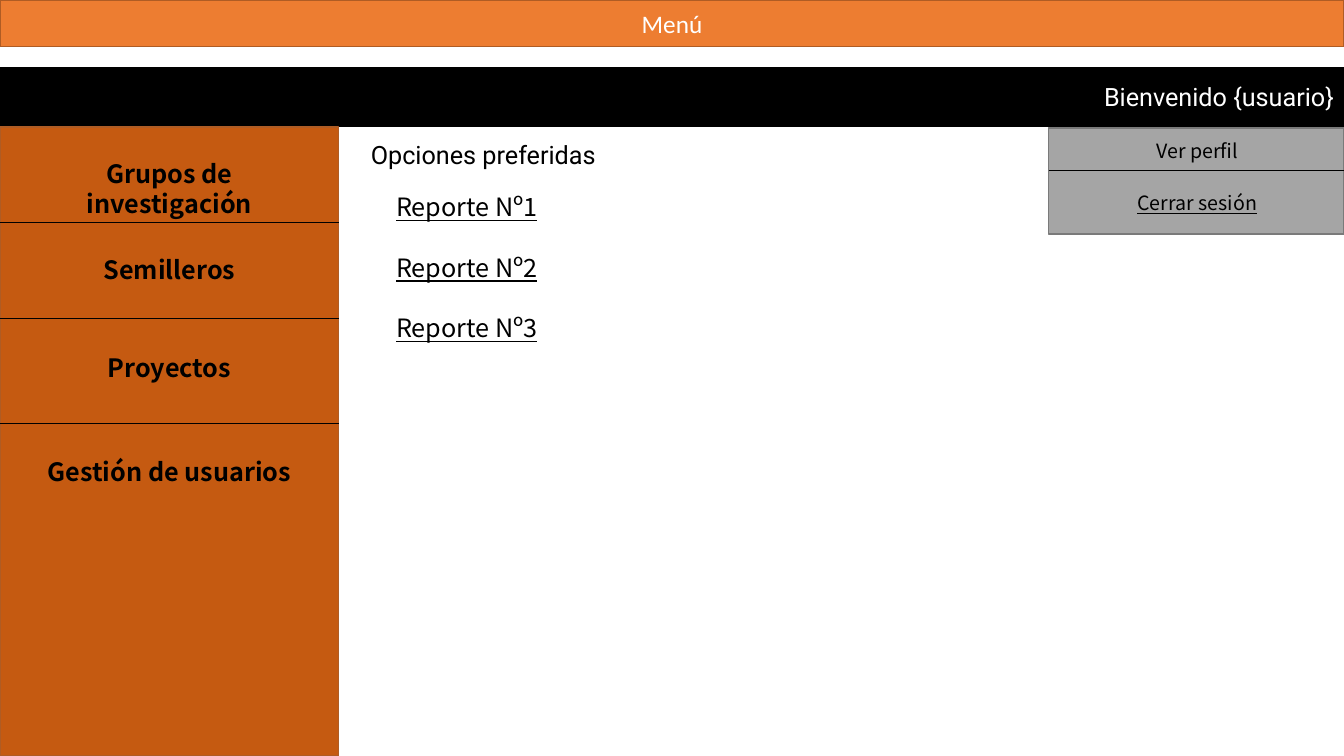
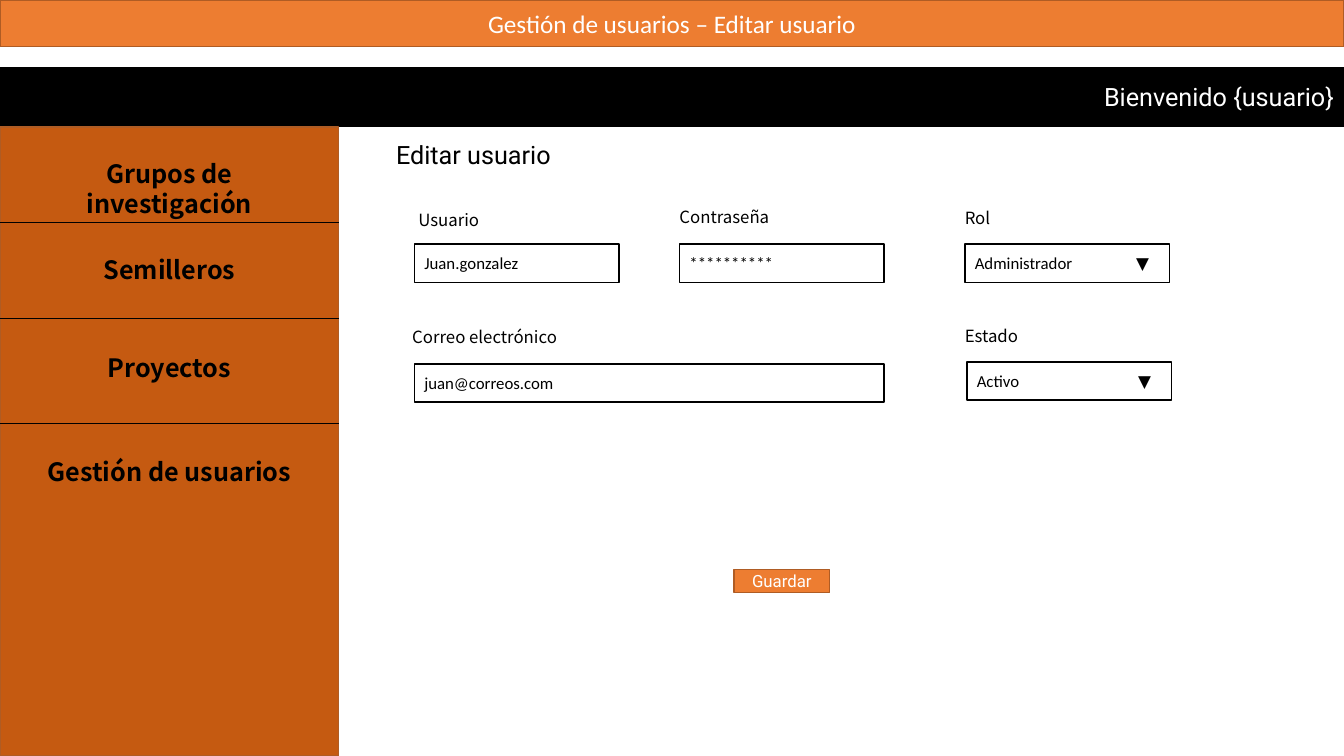
from lxml.etree import SubElement
from pptx import Presentation
from pptx.dml.color import RGBColor
from pptx.enum.shapes import MSO_CONNECTOR, MSO_SHAPE
from pptx.enum.text import MSO_ANCHOR, MSO_AUTO_SIZE, PP_ALIGN
from pptx.oxml.ns import qn
from pptx.util import Inches, Pt

COLORS = {
    "orange": "ED7D31", "edge": "AF5C24", "rust": "C55A11",
    "black": "000000", "white": "FFFFFF", "gray": "A5A5A5", "dim": "7A7A7A",
}
SANS, HEAD, BODY = "Noto Sans CJK SC", "Roboto", "Calibri"
WIDE, HIGH, SIDE = 13.33, 7.5, 3.36
MENU = [("Grupos de investigación", 1.52), ("Semilleros", 2.47),
        ("Proyectos", 3.45), ("Gestión de usuarios", 4.48)]
RULES = (2.21, 3.16, 4.2)
LEFT, MID, RIGHT = PP_ALIGN.LEFT, PP_ALIGN.CENTER, PP_ALIGN.RIGHT


def color(name):
    return RGBColor.from_string(COLORS[name])


def style(par, font, size, ink, align=LEFT, bold=False, under=False):
    par.alignment = align
    par.font.name = font
    par.font.size = Pt(size)
    par.font.color.rgb = color(ink)
    par.font.bold = bold
    par.font.underline = under


def paint(shape, fill, edge):
    shape.fill.solid()
    shape.fill.fore_color.rgb = color(fill)
    shape.line.color.rgb = color(edge)
    shape.line.width = Pt(1)


def add_box(slide, area, fill, edge, text="", font=BODY, size=12,
            ink="black", align=LEFT):
    box = slide.shapes.add_shape(MSO_SHAPE.RECTANGLE, *map(Inches, area))
    box.shadow.inherit = False
    paint(box, fill, edge)
    if text:
        frame = box.text_frame
        frame.vertical_anchor = MSO_ANCHOR.MIDDLE
        frame.text = text
        style(frame.paragraphs[0], font, size, ink, align)
    return box


def add_text(slide, area, lines, font=SANS, size=18, gap=0, **look):
    frame = slide.shapes.add_textbox(*map(Inches, area)).text_frame
    frame.word_wrap = True
    frame.auto_size = MSO_AUTO_SIZE.SHAPE_TO_FIT_TEXT
    frame.text = "\n".join(lines)
    for i, par in enumerate(frame.paragraphs):
        style(par, font, size, "black", **look)
        if font == SANS:
            par.line_spacing = Pt(size * 1.2)
        if i:
            par.space_before = Pt(gap)


def add_rule(slide, left, right, top):
    rule = slide.shapes.add_connector(
        MSO_CONNECTOR.STRAIGHT, *map(Inches, (left, top, right, top)))
    rule.line.color.rgb = color("black")
    rule.line.width = Pt(0.5)
    SubElement(rule._element.spPr, qn("a:effectLst"))


def add_field(slide, left, top, width, text):
    return add_box(slide, (left, top, width, 0.38), "white", "black", text)


def add_list(slide, left, top, text):
    # A tab stop sets the arrow near the right edge
    box = add_field(slide, left, top, 2.03, f"{text}\t▼")
    props = box.text_frame.paragraphs[0]._p.get_or_add_pPr()
    tabs = SubElement(props, qn("a:tabLst"))
    SubElement(tabs, qn("a:tab"), pos=str(Inches(1.6)), algn="l")
    # Tab stops come before the default run style
    props.insert_element_before(tabs, "a:defRPr", "a:extLst")


def add_page(deck, name):
    slide = deck.slides.add_slide(deck.slide_layouts[5])
    # Title bar
    title = slide.shapes.title
    title.left, title.top = Inches(0), Inches(0)
    title.width, title.height = Inches(WIDE), Inches(0.46)
    paint(title, "orange", "edge")
    frame = title.text_frame
    frame.text = name
    frame.auto_size = MSO_AUTO_SIZE.NONE
    frame.vertical_anchor = MSO_ANCHOR.MIDDLE
    style(frame.paragraphs[0], BODY, 18, "white", MID)
    # Welcome band
    add_box(slide, (0, 0.67, WIDE, 0.58), "black", "black",
            "Bienvenido {usuario}", HEAD, 18, "white", RIGHT)
    # Side menu
    add_box(slide, (0, 1.26, SIDE, HIGH - 1.26), "rust", "edge")
    for top in RULES:
        add_rule(slide, 0, SIDE, top)
    for text, top in MENU:
        add_text(slide, (0.15, top, 3.06, 0.4), [text], align=MID, bold=True)
    return slide


def add_home(deck):
    slide = add_page(deck, "Menú")
    # Account menu
    add_box(slide, (10.4, 1.27, 2.93, 1.05), "gray", "dim")
    add_rule(slide, 10.4, WIDE, 1.69)
    for text, top, under in (("Ver perfil", 1.33, False),
                             ("Cerrar sesión", 1.84, True)):
        add_text(slide, (10.55, top, 2.65, 0.34), [text], size=14,
                 align=MID, under=under)
    # Favourite reports
    add_text(slide, (3.58, 1.33, 4.26, 0.4), ["Opciones preferidas"], HEAD)
    add_text(slide, (3.83, 1.85, 3.36, 1.62),
             [f"Reporte Nº{n}" for n in (1, 2, 3)], gap=21.6, under=True)


def add_form(deck):
    slide = add_page(deck, "Gestión de usuarios – Editar usuario")
    add_text(slide, (3.83, 1.33, 3.36, 0.4), ["Editar usuario"], HEAD)
    # Field labels
    for text, left, top in (("Usuario", 4.05, 2.03),
                            ("Contraseña", 6.64, 2),
                            ("Rol", 9.47, 2.01),
                            ("Correo electrónico", 3.99, 3.19),
                            ("Estado", 9.47, 3.18)):
        add_text(slide, (left, top, 2.32, 0.5), [text], size=12)
    # Entry fields and lists
    add_field(slide, 4.11, 2.42, 2.03, "Juan.gonzalez")
    add_field(slide, 6.74, 2.42, 2.03, "**********")
    add_field(slide, 4.11, 3.61, 4.66, "juan@correos.com")
    add_list(slide, 9.57, 2.42, "Administrador")
    add_list(slide, 9.59, 3.59, "Activo")
    # Save button
    add_box(slide, (7.28, 5.65, 0.95, 0.23), "orange", "edge",
            "Guardar", HEAD, 12, "white", MID)


def main():
    deck = Presentation()
    deck.slide_width, deck.slide_height = Inches(WIDE), Inches(HIGH)
    add_home(deck)
    add_form(deck)
    deck.save("out.pptx")


if __name__ == "__main__":
    main()
